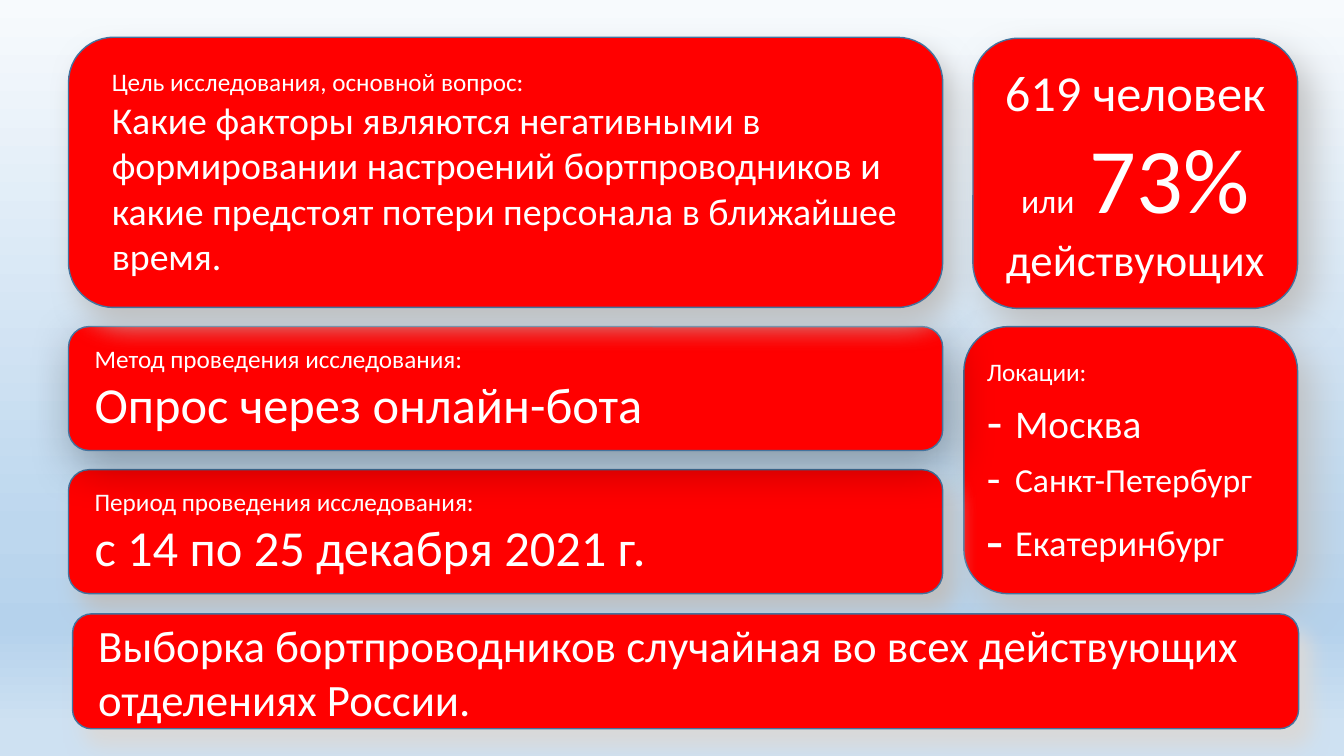
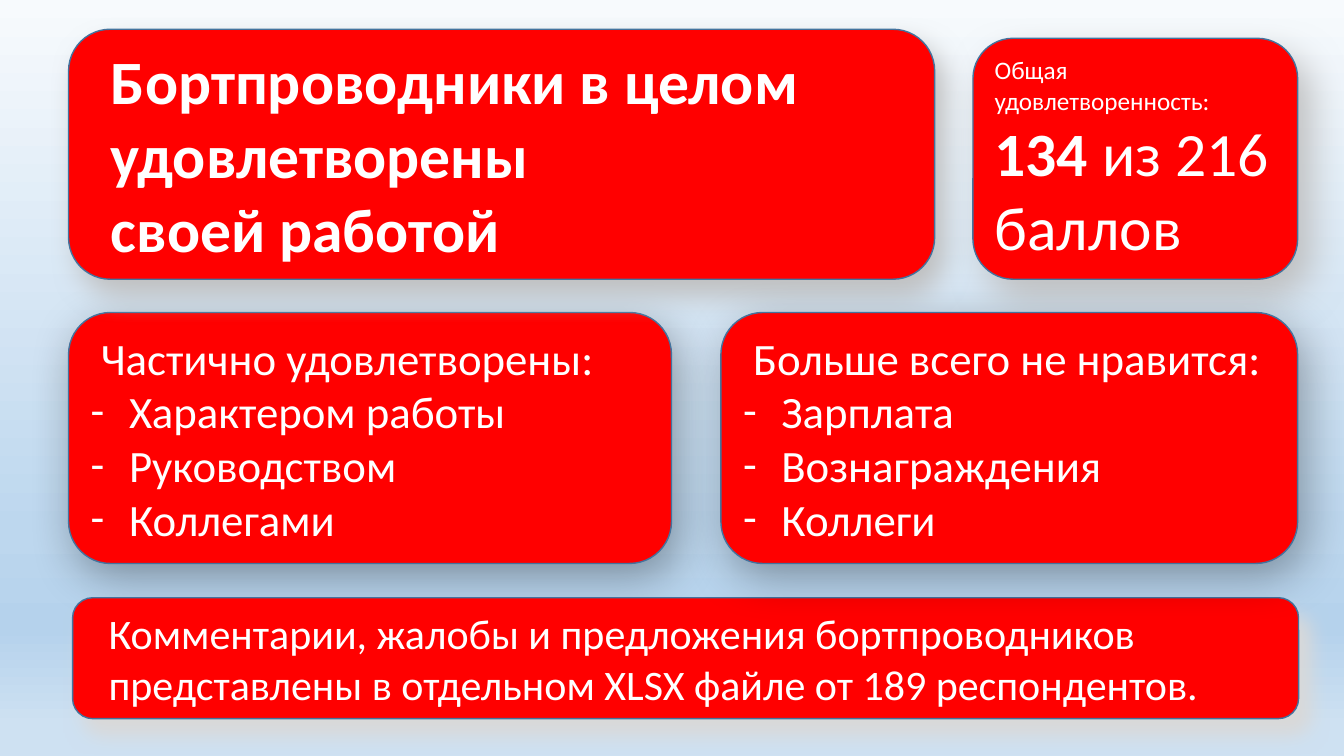
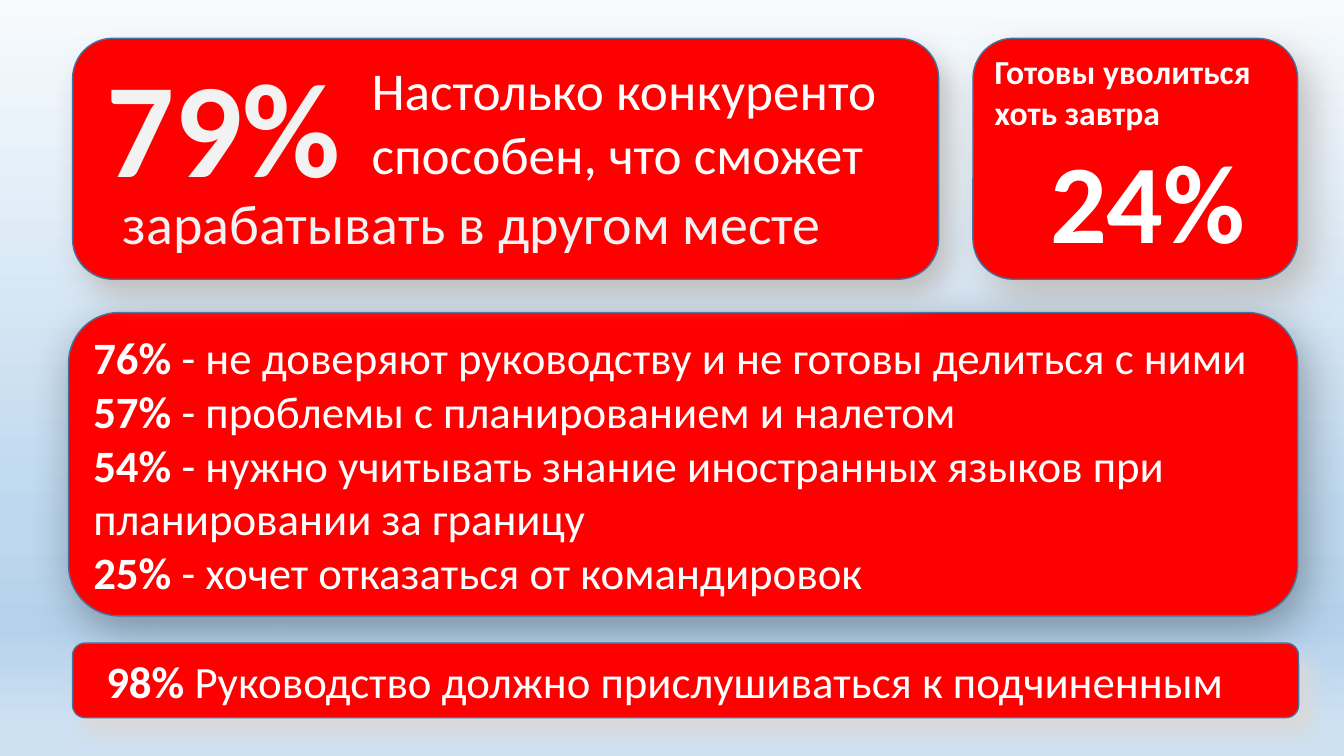
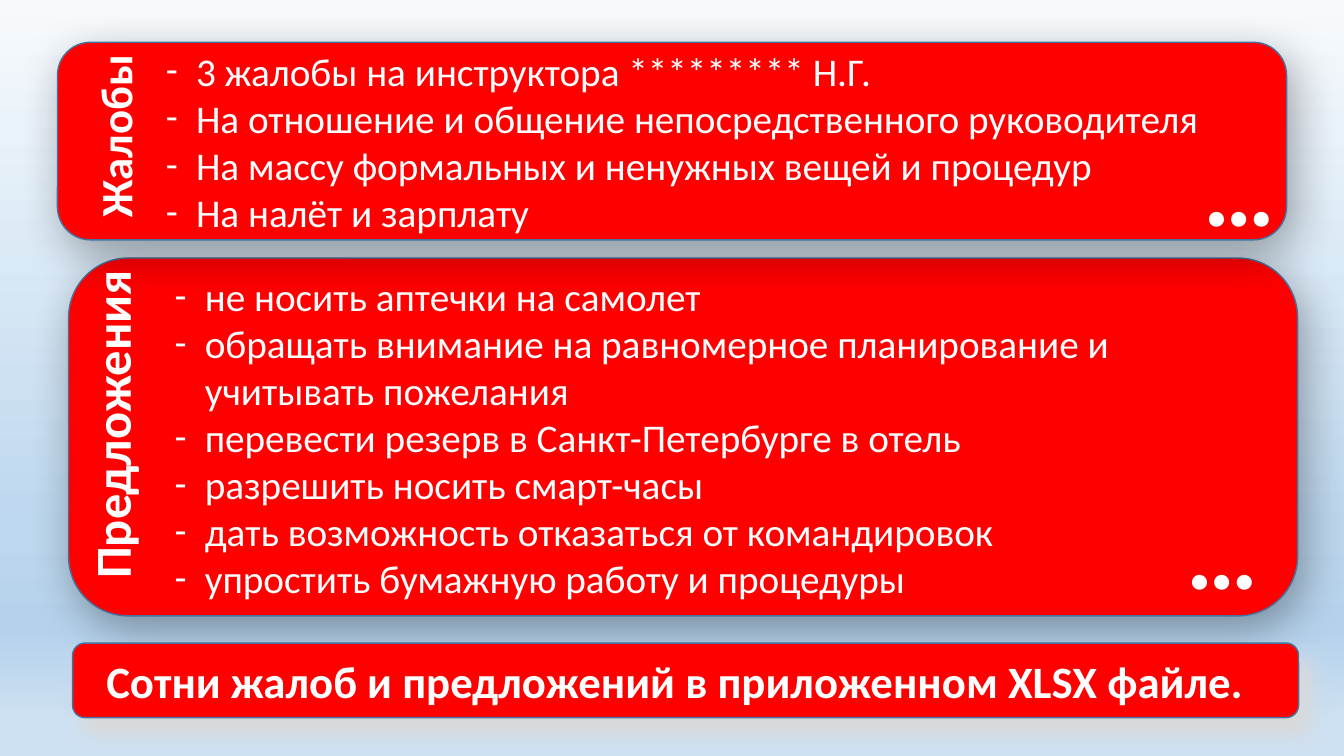
"""Build a four-slide deck with the results of a cabin crew survey."""
from pptx import Presentation
from pptx import util as u
from pptx.dml.color import RGBColor
from pptx.enum import shapes, text
from pptx.oxml import parse_xml
from pptx.oxml.ns import nsdecls, qn

FONT = "Calibri"
RED, EDGE, WHITE, PALE = "FF0000", "43739E", "FFFFFF", "F2F2F2"
BACKGROUND = [(0, "F7FAFD"), (70, "BDD7EE"), (83, "B5D2EC"), (96, "CEE1F2")]

# name: colour, opacity %, blur pt, distance pt, angle
SHADOWS = {
    "side": ("BFBFBF", 100, 27, 15, 54),
    "places": ("BFBFBF", 100, 29, 14, 54),
    "period": ("BFBFBF", 100, 17, 12, 54),
    "head": ("BFBFBF", 100, 21, 13, 58),
    "foot": ("D9D9D9", 100, 14, 13, 56),
    "dark": ("000000", 33, 33, 10, 64),
}

STYLES = {
    "plain": {},
    "center": {"align": "CENTER"},
    "shifted": {"align": "CENTER", "left": 0.25},
    "near": {"left": 0.1},
    "inset": {"left": 0.2},
    "beside": {"left": 2.75},
    "list": {"left": 0.38, "hang": 0.38},
    "complaint": {"left": 1.18, "hang": 0.3},
    "proposal": {"left": 1.08, "hang": 0.3},
    "city1": {"left": 0.28, "hang": 0.28, "before": 9, "dash": 129},
    "city2": {"left": 0.28, "hang": 0.28, "before": 9, "dash": 133},
    "city3": {"left": 0.28, "hang": 0.28, "before": 15, "dash": 154},
}

LEFT, INNER, RIGHT_COL, TOP = 0.68, 0.72, 9.65, 0.38
SIDE_W, WIDE_W, FOOT_W = 3.22, 12.19, 12.16
LOW_BAR = (INNER, 6.38, FOOT_W, 0.74)
SIDE_BOX = (RIGHT_COL, TOP, SIDE_W, 2.39)

COMPLAINTS = [
    "3 жалобы на инструктора ********* Н.Г.",
    "На отношение и общение непосредственного руководителя",
    "На массу формальных и ненужных вещей и процедур",
    "На налёт и зарплату",
]
PROPOSALS = [
    "не носить аптечки на самолет",
    "обращать внимание на равномерное планирование и учитывать пожелания",
    "перевести резерв в Санкт-Петербурге в отель",
    "разрешить носить смарт-часы",
    "дать возможность отказаться от командировок",
    "упростить бумажную работу и процедуры",
]
LIKES = ["Характером работы", "Руководством", "Коллегами"]
DISLIKES = ["Зарплата", "Вознаграждения", "Коллеги"]
SHARES = [
    ("76%", "не доверяют руководству и не готовы делиться с ними"),
    ("57%", "проблемы с планированием и налетом"),
    ("54%", "нужно учитывать знание иностранных языков при планировании за границу"),
    ("25%", "хочет отказаться от командировок"),
]


def bullets(style, size, items):
    """Return one bulleted paragraph per item."""
    return [(style, (item, size)) for item in items]


# card: box, shadow, paragraphs; paragraph: style, then (words, size, bold) runs
SLIDES = [
    {"cards": [
        ((RIGHT_COL, TOP, SIDE_W, 2.68), "side", [
            ("center", ("619 человек", 36)),
            ("center", ("или", 24), (" ", 48), ("73%", 66)),
            ("center", ("действующих", 32))]),
        ((9.56, 3.24, 3.31, 2.65), "places", [
            ("plain", ("Локации:", 18)),
            ("city1", ("Москва", 28)),
            ("city2", ("Санкт-Петербург", 24)),
            ("city3", ("Екатеринбург", 26))]),
        ((LEFT, 4.66, 8.67, 1.23), "period", [
            ("near", ("Период проведения исследования:", 18)),
            ("near", ("с 14 по 25 декабря 2021 г.", 36))]),
        ((LEFT, 3.24, 8.67, 1.23), "dark", [
            ("near", ("Метод проведения исследования:", 18)),
            ("near", ("Опрос через онлайн-бота", 36))]),
        ((INNER, 6.09, FOOT_W, 1.14), "foot", [
            ("near", ("Выборка бортпроводников случайная во всех действующих "
                      "отделениях России.", 32))]),
        ((LEFT, 0.37, 8.67, 2.68), "head", [
            ("inset", ("Цель исследования, основной вопрос:", 18)),
            ("inset", ("Какие факторы являются негативными в формировании "
                       "настроений бортпроводников и какие предстоят потери "
                       "персонала в ближайшее время.", 27))]),
    ]},
    {"cards": [
        (SIDE_BOX, "side", [
            ("plain", ("Общая удовлетворенность:", 18)),
            ("plain", ("134", 44, True), (" из 216", 44)),
            ("plain", ("баллов", 44))]),
        ((LEFT, 3.1, 5.98, 2.49), "dark",
         [("near", ("Частично удовлетворены:", 32))] + bullets("list", 32, LIKES)),
        ((INNER, 5.93, FOOT_W, 1.2), "foot", [
            ("inset", ("Комментарии, жалобы и предложения бортпроводников "
                       "представлены в отдельном XLSX файле от 189 "
                       "респондентов.", 30))]),
        ((LEFT, 0.29, 8.59, 2.48), "head", [
            ("inset", ("Бортпроводники в целом удовлетворены", 44, True)),
            ("inset", ("своей работой", 44, True))]),
        ((7.15, 3.1, 5.72, 2.49), "dark",
         [("near", ("Больше всего не нравится:", 32))] + bullets("list", 32, DISLIKES)),
    ]},
    {"cards": [
        (SIDE_BOX, "side", [
            ("plain", ("Готовы уволиться хоть завтра", 24, True)),
            ("shifted", ("24%", 80, True))]),
        ((LEFT, 3.1, WIDE_W, 3.01), "dark", [
            ("plain", (share, 32, True), (f" - {reason}", 32)) for share, reason in SHARES]),
        (LOW_BAR, "foot", [
            ("inset", ("98% ", 32, True),
             ("Руководство должно прислушиваться к подчиненным", 32))]),
        ((INNER, TOP, 8.59, 2.39), "head", [
            ("beside", ("Настолько конкуренто способен, что сможет", 38))],
         {"margin_bottom": u.Inches(0.8)}),
    ], "labels": [
        ((0.96, 0.38, 2.53, 1.72), ("79%", 96, True), PALE, {}),
        ((1.12, 1.82, 7.64, 1.08), ("зарабатывать в другом месте", 40), PALE, {"wrap": True}),
    ]},
    {"cards": [
        ((LEFT, 2.56, WIDE_W, 3.55), "dark", bullets("proposal", 28, PROPOSALS)),
        (LOW_BAR, "foot", [
            ("inset", ("Сотни жалоб и предложений в приложенном XLSX файле.", 32, True))]),
        ((0.57, 0.42, WIDE_W, 1.96), "dark", bullets("complaint", 28, COMPLAINTS)),
    ], "labels": [
        ((0.75, 2.65, 0.81, 3.19), ("Предложения", 36, True), WHITE, {"upright": True}),
        ((0.82, 0.53, 0.74, 1.73), ("Жалобы", 32, True), WHITE, {"upright": True}),
        ((11.84, 1.2, 0.92, 1.31), ("…", 72, True), WHITE, {}),
        ((11.67, 4.8, 0.92, 1.31), ("…", 72, True), WHITE, {}),
    ]},
]


def rgb(value):
    """Turn a hex string into a colour."""
    return RGBColor.from_string(value)


def paint_background(master):
    """Give the master the vertical gradient that all slides share."""
    fill = master.background.fill
    fill.gradient()
    fill.gradient_angle = 270
    stops = master.element.cSld.find(".//" + qn("a:gsLst"))
    for stop in list(stops):
        stops.remove(stop)
    for place, color in BACKGROUND:
        stops.append(parse_xml(
            f'<a:gs {nsdecls("a")} pos="{place * 1000}"><a:srgbClr val="{color}"/></a:gs>'))


def add_shadow(sp, color, opacity, blur, distance, angle):
    """Cast an outer shadow from a shape."""
    sp.shadow.inherit = False
    sp.element.spPr.find(qn("a:effectLst")).append(parse_xml(
        f'<a:outerShdw {nsdecls("a")} blurRad="{u.Pt(blur)}" dist="{u.Pt(distance)}" '
        f'dir="{angle * 60000}" algn="tl" rotWithShape="0"><a:srgbClr val="{color}">'
        f'<a:alpha val="{opacity * 1000}"/></a:srgbClr></a:outerShdw>'))


def format_paragraph(p, align="LEFT", left=0, hang=0, before=0, dash=100):
    """Set alignment, spacing, indents and the dash bullet of a paragraph."""
    p.alignment = text.PP_ALIGN[align]
    p.space_before = u.Pt(before)
    pPr = p._p.get_or_add_pPr()
    pPr.set("marL", str(u.Inches(left)))
    pPr.set("indent", str(-u.Inches(hang)))
    if hang:
        for tag in (f'buSzPct {nsdecls("a")} val="{dash * 1000}"',
                    f'buFont {nsdecls("a")} typeface="{FONT}"',
                    f'buChar {nsdecls("a")} char="-"'):
            pPr.append(parse_xml(f"<a:{tag}/>"))


def write(tf, paragraphs, color=WHITE):
    """Fill a text frame with styled paragraphs."""
    for i, (style, *runs) in enumerate(paragraphs):
        p = tf.add_paragraph() if i else tf.paragraphs[0]
        format_paragraph(p, **STYLES[style])
        for words, size, *bold in runs:
            r = p.add_run()
            r.text = words
            r.font.color.rgb = rgb(color)
            for name, value in {"name": FONT, "size": u.Pt(size), "bold": bool(bold)}.items():
                setattr(r.font, name, value)


def add_card(s, box, shadow, paragraphs, body=None):
    """Add a red rounded card with text."""
    sp = s.shapes.add_shape(shapes.MSO_SHAPE.ROUNDED_RECTANGLE, *map(u.Inches, box))
    sp.fill.solid()
    sp.fill.fore_color.rgb = rgb(RED)
    sp.line.color.rgb = rgb(EDGE)
    sp.line.width = u.Pt(1)
    add_shadow(sp, *SHADOWS[shadow])
    tf = sp.text_frame
    frame = {"word_wrap": True, "vertical_anchor": text.MSO_ANCHOR.MIDDLE, **(body or {})}
    for name, value in frame.items():
        setattr(tf, name, value)
    write(tf, paragraphs)


def add_label(s, box, run, color, wrap=False, upright=False):
    """Add a free text label, turned to read upwards if upright."""
    sp = s.shapes.add_textbox(*map(u.Inches, box))
    tf = sp.text_frame
    tf.word_wrap = wrap
    tf.auto_size = text.MSO_AUTO_SIZE.SHAPE_TO_FIT_TEXT
    if upright:
        sp.element.txBody.find(qn("a:bodyPr")).set("vert", "vert270")
    write(tf, [("plain", run)], color)


def main():
    """Build and save the deck."""
    prs = Presentation()
    prs.slide_width, prs.slide_height = u.Inches(13.33), u.Inches(7.5)
    paint_background(prs.slide_master)
    for content in SLIDES:
        s = prs.slides.add_slide(prs.slide_layouts[6])
        for card in content["cards"]:
            add_card(s, *card)
        for box, run, color, options in content.get("labels", []):
            add_label(s, box, run, color, **options)
    prs.save("out.pptx")


if __name__ == "__main__":
    main()
